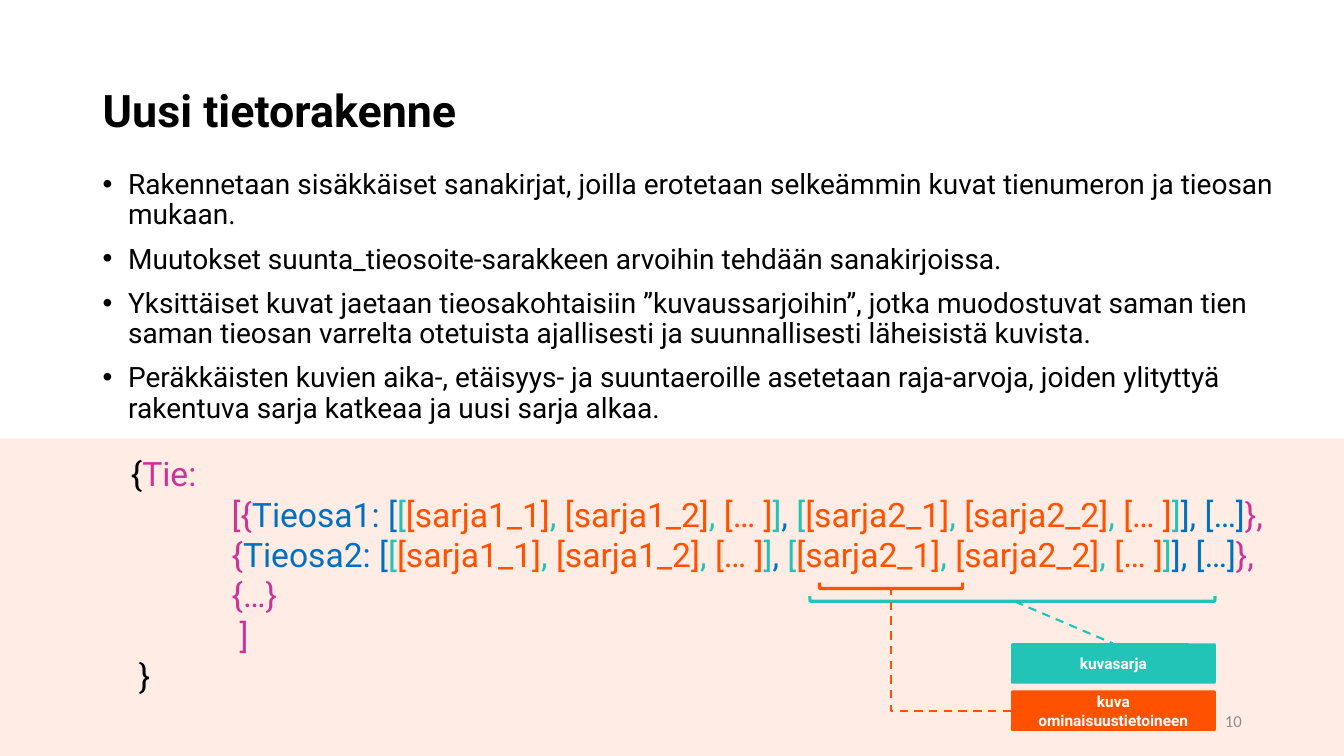
"""Build the slide on the new nested data structure."""
from dataclasses import dataclass

from lxml.etree import SubElement as Sub
from pptx import Presentation
from pptx.dml.color import RGBColor as Rgb
from pptx.enum.dml import MSO_LINE as Dash
from pptx.enum.shapes import MSO_CONNECTOR as Link, MSO_SHAPE as Form
from pptx.enum.text import MSO_ANCHOR as Anchor, PP_ALIGN as Align
from pptx.oxml.ns import qn
from pptx.util import Cm, Pt


@dataclass(frozen=True)
class Theme:
    """Colours, fonts and type sizes of the slide."""
    black: str = "000000"
    white: str = "FFFFFF"
    grey: str = "8C8C8C"
    blush: str = "FFEDE5"
    pink: str = "CC3399"
    blue: str = "0070C0"
    teal: str = "22C4B8"
    flame: str = "FF5100"
    font: str = "Roboto"
    plain: str = "Calibri"
    title: int = 32
    code: int = 24
    body: int = 20
    note: int = 12
    label: int = 11


T = Theme()

POINTS = [
    "Rakennetaan sisäkkäiset sanakirjat, joilla erotetaan selkeämmin kuvat "
    "tienumeron ja tieosan mukaan.",
    "Muutokset suunta_tieosoite-sarakkeen arvoihin tehdään sanakirjoissa.",
    "Yksittäiset kuvat jaetaan tieosakohtaisiin ”kuvaussarjoihin”, jotka "
    "muodostuvat saman tien saman tieosan varrelta otetuista ajallisesti ja "
    "suunnallisesti läheisistä kuvista.",
    "Peräkkäisten kuvien aika-, etäisyys- ja suuntaeroille asetetaan "
    "raja-arvoja, joiden ylityttyä rakentuva sarja katkeaa ja uusi sarja alkaa.",
]


def write(frame, text, size=T.body, color=T.black, font=T.font, bold=False,
          align=Align.LEFT, left=0, bullet=False, lines=1.0, gap=0):
    """Add a paragraph of plain text or of (text, colour) runs to a frame."""
    first = not frame.paragraphs[0].runs
    para = frame.paragraphs[0] if first else frame.add_paragraph()
    props = para._p.get_or_add_pPr()
    props.set("marL", str(Cm(left)))
    props.set("indent", str(-Cm(left) if bullet else 0))
    if bullet:
        Sub(props, qn("a:buFont"), typeface="Arial")
        Sub(props, qn("a:buChar"), char="•")
    para.alignment = align
    para.line_spacing = lines
    para.space_before = Pt(0 if first else gap)
    for part, tint in [(text, color)] if isinstance(text, str) else text:
        run = para.add_run()
        run.text = part
        run.font.name, run.font.size, run.font.bold = font, Pt(size), bold
        run.font.color.rgb = Rgb.from_string(tint)


def box(slide, *place, anchor=Anchor.TOP):
    """Add a wrapping text box and return its frame."""
    frame = slide.shapes.add_textbox(*map(Cm, place)).text_frame
    frame.word_wrap = True
    frame.vertical_anchor = anchor
    return frame


def panel(slide, form, color, *place):
    """Add a filled shape without outline or shadow."""
    shape = slide.shapes.add_shape(form, *map(Cm, place))
    shape.shadow.inherit = False
    shape.fill.solid()
    shape.fill.fore_color.rgb = Rgb.from_string(color)
    shape.line.fill.background()
    return shape


def label(slide, text, color, top):
    """Add a rounded label with centred text."""
    shape = panel(slide, Form.ROUNDED_RECTANGLE, color, 25.48, top, 5.16, 1.02)
    shape.adjustments[0] = 0.036
    frame = shape.text_frame
    frame.word_wrap = True
    frame.vertical_anchor = Anchor.MIDDLE
    write(frame, text, T.label, T.white, bold=True, align=Align.CENTER)


def brace(slide, color, *place):
    """Add a bracket turned to open upwards."""
    shape = slide.shapes.add_shape(Form.LEFT_BRACKET, *map(Cm, place))
    shape.shadow.inherit = False
    shape.rotation = 270
    shape.fill.background()
    shape.line.color.rgb = Rgb.from_string(color)
    shape.line.width = Pt(2.25)


def link(slide, color, *ends, bent=False):
    """Add a dashed connector, straight or with one corner."""
    kind = Link.ELBOW if bent else Link.STRAIGHT
    wire = slide.shapes.add_connector(kind, *map(Cm, ends))
    wire.line.color.rgb = Rgb.from_string(color)
    wire.line.width = Pt(1.5)
    wire.line.dash_style = Dash.DASH
    props = wire._element.spPr
    Sub(props, qn("a:effectLst"))
    if bent:
        props.find(qn("a:prstGeom")).set("prst", "bentConnector2")


def group(num):
    """Return the runs of one list of image series."""
    comma = (", ", T.teal)
    return [("[", T.teal), (f"[sarja{num}_1]", T.flame), comma,
            (f"[sarja{num}_2]", T.flame), comma,
            ("[… ]", T.flame), ("]", T.teal)]


def road(start, num):
    """Return the runs of one road part."""
    return [(start, T.pink), (f"Tieosa{num}: [", T.blue), *group(1),
            (", ", T.blue), *group(2), ("], […]", T.blue), ("},", T.pink)]


def main():
    """Compose and save the slide."""
    deck = Presentation()
    deck.slide_width, deck.slide_height = Cm(33.87), Cm(19.05)
    slide = deck.slides.add_slide(deck.slide_layouts[6])

    panel(slide, Form.RECTANGLE, T.blush, 0, 11.05, 33.87, 8)
    title = box(slide, 2.34, 1.02, 29.21, 3.68, anchor=Anchor.MIDDLE)
    write(title, "Uusi tietorakenne", T.title, bold=True, lines=0.9)
    body = box(slide, 2.34, 4.17, 30.66, 6.88)
    for point in POINTS:
        write(body, point, left=0.64, bullet=True, lines=0.9, gap=10)
    number = box(slide, 23.93, 17.65, 7.62, 1.02, anchor=Anchor.MIDDLE)
    write(number, "10", T.note, T.grey, T.plain, align=Align.RIGHT)

    code = box(slide, 3.05, 11.3, 30.66, 6.4)
    for left, runs in [
        (0, [("{", T.black), ("Tie:", T.pink)]),
        (2.54, road("[{", 1)),
        (2.54, road("{", 2)),
        (2.54, [("{…}", T.pink)]),
        (2.74, [("]", T.pink)]),
        (0.2, [("}", T.black)]),
    ]:
        write(code, runs, T.code, left=left)

    label(slide, "kuva ominaisuustietoineen", T.flame, 17.4)
    label(slide, "kuvasarja", T.teal, 16.21)
    brace(slide, T.teal, 25.45, 9.98, 0.13, 10.21)
    brace(slide, T.flame, 22.38, 12.95, 0.15, 3.61)
    link(slide, T.flame, 25.48, 17.91, 22.45, 14.83, bent=True)
    link(slide, T.teal, 25.58, 15.16, 28.04, 16.21)
    deck.save("out.pptx")


if __name__ == "__main__":
    main()
